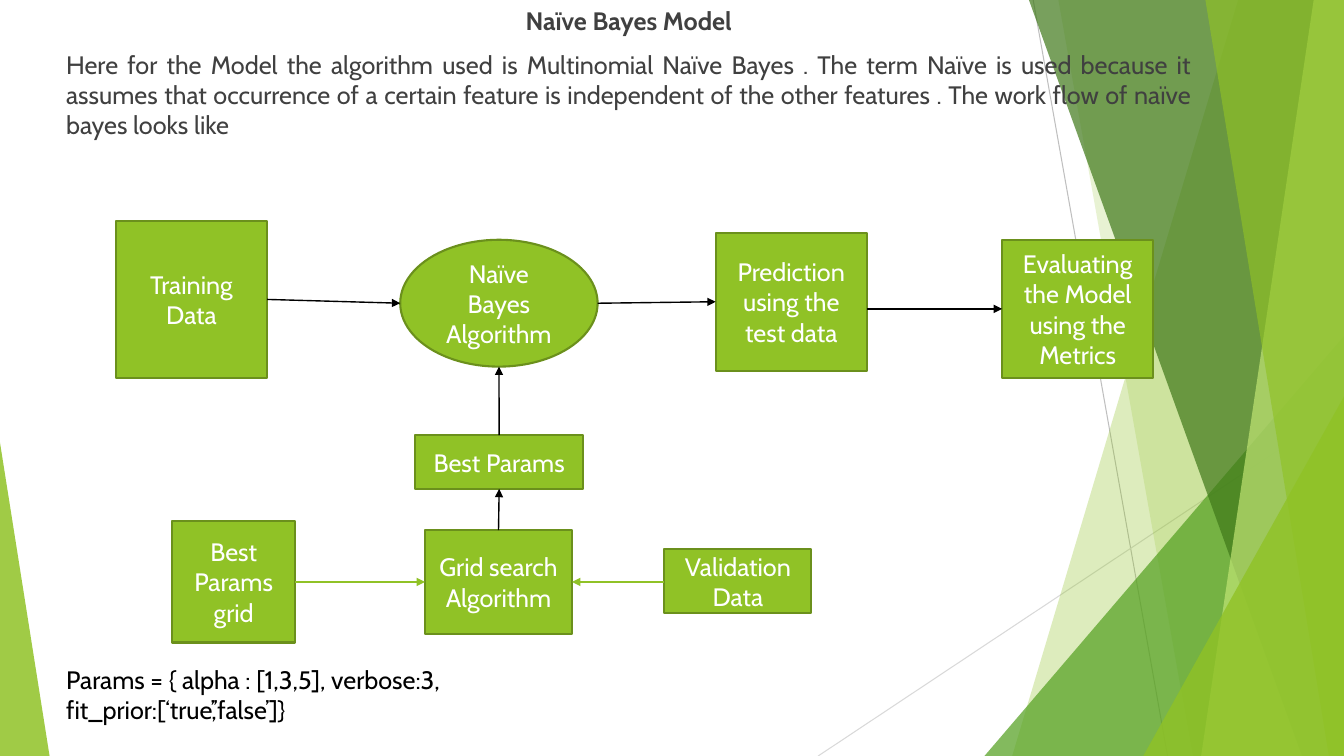
from lxml import etree
from pptx import Presentation
from pptx.dml.color import RGBColor
from pptx.enum.shapes import MSO_CONNECTOR as CXN, MSO_SHAPE as SHAPE
from pptx.enum.text import MSO_ANCHOR as ANCHOR, PP_ALIGN as ALIGN
from pptx.oxml.ns import qn
from pptx.util import Inches, Pt

COLS, ROWS = 160, 90
FONT = "Cabin"
COLORS = {
    "lime": "90C226", "edge": "6B901C", "green": "54A021", "forest": "3F7819",
    "pale": "C0E474", "grey": "BFBFBF", "silver": "D9D9D9", "text": "404040",
    "black": "000000", "white": "FFFFFF",
}


def cell(n):
    """Turn grid cells, 12 to the inch, into a length."""
    return Inches(n / 12)


def rgb(name):
    """Look up a colour by name."""
    return RGBColor.from_string(COLORS[name])


def fill_clear(sp, color, alpha):
    """Give a borderless shape a see-through fill, alpha in percent."""
    sp.shadow.inherit = False
    sp.line.fill.background()
    sp.fill.solid()
    sp.fill.fore_color.rgb = rgb(color)
    clr = sp.fill._xPr.find(qn("a:solidFill"))[0]
    etree.SubElement(clr, qn("a:alpha")).set("val", str(alpha * 1000))


def add_line(s, start, end, color, width, arrow=False):
    """Draw a straight line between two grid points."""
    c = s.shapes.add_connector(CXN.STRAIGHT, *map(cell, start + end))
    c.line.color.rgb = rgb(color)
    c.line.width = Pt(width)
    if arrow:
        etree.SubElement(c.line._get_or_add_ln(), qn("a:tailEnd")).set("type", "triangle")
    etree.SubElement(c._element.spPr, qn("a:effectLst"))


def add_shard(s, top, bottom, color, alpha):
    """Draw a shard from a slanted left edge to the right slide edge."""
    corners = [(COLS, 0), (COLS, ROWS), (bottom, ROWS)]
    fb = s.shapes.build_freeform(cell(top), 0)
    fb.add_line_segments([(cell(x), cell(y)) for x, y in corners])
    fill_clear(fb.convert_to_shape(), color, alpha)


def add_wedge(s, left, top, width, apex, color, alpha):
    """Draw a triangle that stands on the bottom slide edge."""
    sp = s.shapes.add_shape(SHAPE.ISOSCELES_TRIANGLE, cell(left), cell(top),
                            cell(width), cell(ROWS - top))
    sp.adjustments[0] = apex
    fill_clear(sp, color, alpha)


def write(tf, paragraphs, color):
    """Fill a text frame with (text, alignment, bold) paragraphs."""
    tf.word_wrap = True
    for i, (text, align, bold) in enumerate(paragraphs):
        p = tf.add_paragraph() if i else tf.paragraphs[0]
        p.text = text
        p.alignment = align
        p.space_before = Pt(10 if i else 0)
        for r in p.runs:
            r.font.name, r.font.size, r.font.bold = FONT, Pt(18), bold
            r.font.color.rgb = rgb(color)


def add_text(s, box, paragraphs, color):
    """Add a text box on the grid."""
    write(s.shapes.add_textbox(*map(cell, box)).text_frame, paragraphs, color)


def add_step(s, text, box, kind=SHAPE.RECTANGLE):
    """Draw one step of the work flow and return its box."""
    sp = s.shapes.add_shape(kind, *map(cell, box))
    sp.shadow.inherit = False
    sp.fill.solid()
    sp.fill.fore_color.rgb = rgb("lime")
    sp.line.color.rgb = rgb("edge")
    sp.line.width = Pt(1.5)
    sp.text_frame.vertical_anchor = ANCHOR.MIDDLE
    write(sp.text_frame, [(text, ALIGN.CENTER, False)], "white")
    return box


def side(box, name):
    """Return the middle of one side of a box."""
    x, y, w, h = box
    return {"left": (x, y + h / 2), "right": (x + w, y + h / 2),
            "top": (x + w / 2, y), "bottom": (x + w / 2, y + h)}[name]


def link(s, source, out, target, into, color="black", level=False):
    """Draw an arrow between the sides of two steps."""
    start, end = side(source, out), side(target, into)
    if level:
        start = (start[0], end[1])
    add_line(s, start, end, color, 1, arrow=True)


def add_backdrop(s):
    """Draw the faceted green decoration."""
    add_line(s, (123, 0), (139, ROWS), "grey", 0.75)
    add_line(s, (COLS, 48.4), (97.4, ROWS), "silver", 0.75)
    add_shard(s, 147.4, 120.5, "lime", 30)
    add_shard(s, 126, 142, "lime", 20)
    add_wedge(s, 117.2, 40, 42.8, 1, "green", 72)
    add_shard(s, 122.5, 155, "forest", 70)
    add_shard(s, 156.4, 143, "pale", 70)
    add_shard(s, 143.5, 158.2, "lime", 65)
    add_wedge(s, 136.1, 47.2, 23.9, 1, "lime", 80)
    add_wedge(s, 0, 52.7, 5.9, 0, "lime", 85)


def add_flow(s):
    """Draw the steps of the work flow and their arrows."""
    training = add_step(s, "Training Data", (13.8, 26.3, 18, 18.7))
    bayes = add_step(s, "Naïve Bayes Algorithm", (47.65, 28.55, 23.5, 15.1), SHAPE.OVAL)
    prediction = add_step(s, "Prediction using the test data", (85.2, 27.7, 18, 16.45))
    evaluation = add_step(s, "Evaluating the Model using the Metrics", (119.3, 28.55, 18, 16.45))
    best = add_step(s, "Best Params", (49.4, 51.8, 20.05, 6.4))
    grid = add_step(s, "Best Params grid", (20.5, 62, 14.65, 14.5))
    search = add_step(s, "Grid search Algorithm", (50.6, 63.1, 17.5, 12.35))
    validation = add_step(s, "Validation Data", (79.1, 65.4, 17.5, 7.6))
    link(s, training, "right", bayes, "left")
    link(s, bayes, "right", prediction, "left")
    link(s, prediction, "right", evaluation, "left", level=True)
    link(s, grid, "right", search, "left", "lime", level=True)
    link(s, validation, "left", search, "right", "lime", level=True)
    link(s, search, "top", best, "bottom")
    link(s, best, "top", bayes, "bottom")


def main():
    """Build and save the slide."""
    prs = Presentation()
    prs.slide_width, prs.slide_height = cell(COLS), cell(ROWS)
    s = prs.slides.add_slide(prs.slide_layouts[6])
    add_backdrop(s)
    add_text(s, (6.7, 0, 136.3, 87.4), [
        ("Naïve Bayes Model", ALIGN.CENTER, True),
        ("Here for the Model the algorithm used is Multinomial Naïve Bayes . "
         "The term Naïve is used because it assumes that occurrence of a certain "
         "feature is independent of the other features . "
         "The work flow of naïve bayes looks like", ALIGN.JUSTIFY, False),
    ], "text")
    add_flow(s)
    add_text(s, (6.7, 78.5, 58.2, 8.5), [
        ("Params = { alpha : [1,3,5], verbose:3, fit_prior:[‘true’,’false’]}",
         ALIGN.LEFT, False)], "black")
    prs.save("out.pptx")


if __name__ == "__main__":
    main()
